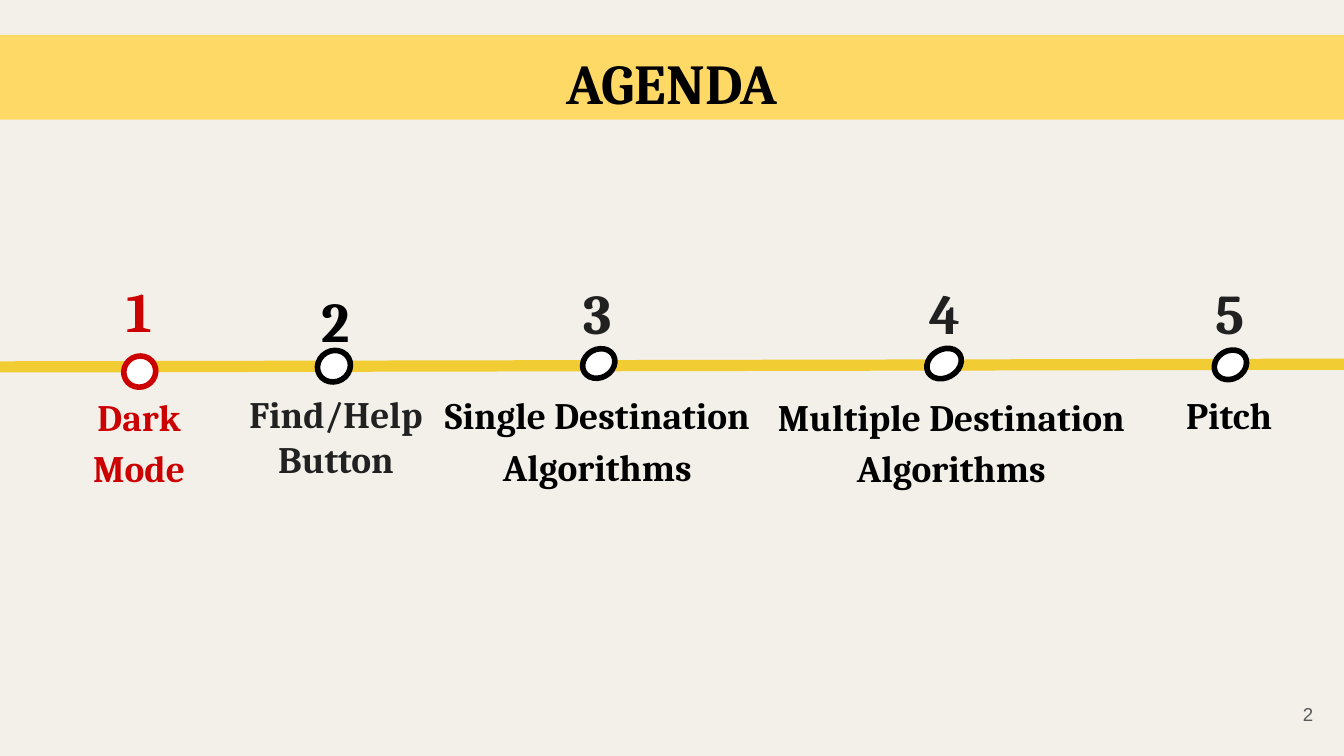
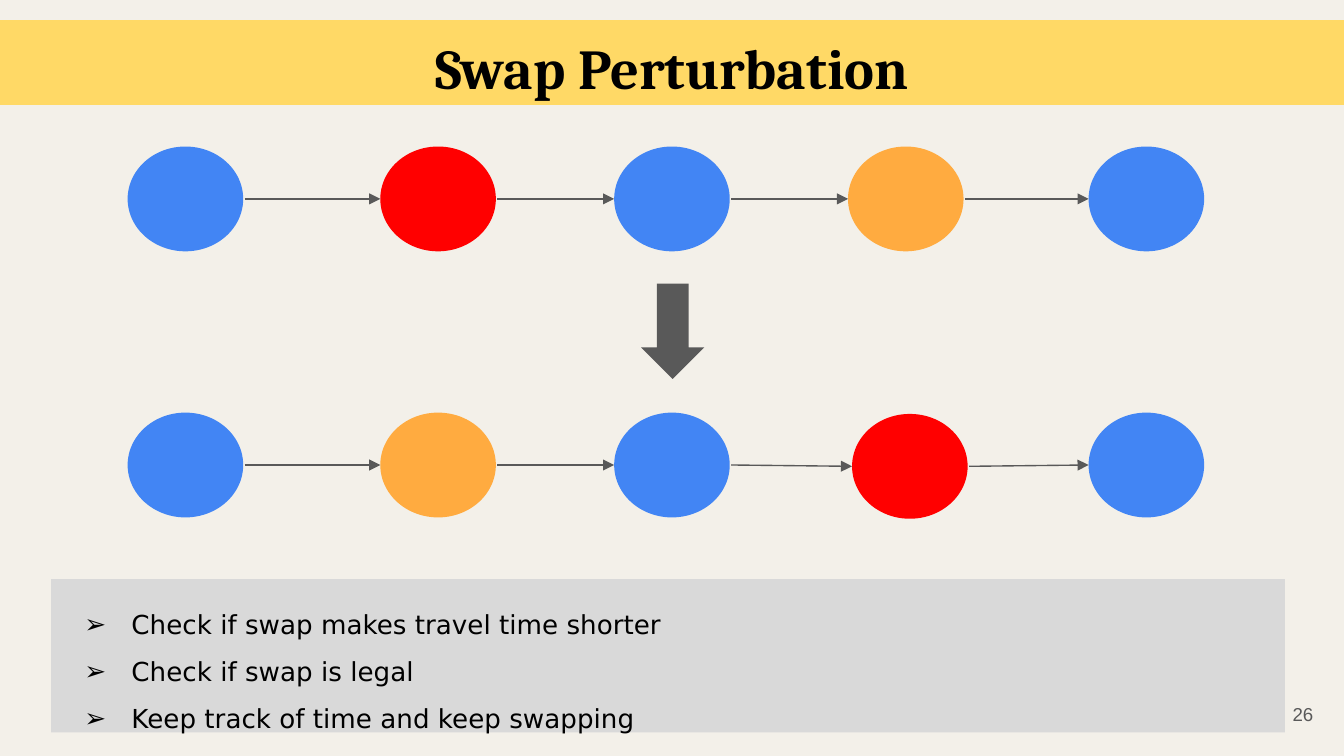
from lxml import etree
from pptx import Presentation
from pptx.dml.color import RGBColor
from pptx.enum.shapes import MSO_CONNECTOR, MSO_SHAPE
from pptx.enum.text import MSO_ANCHOR, MSO_AUTO_SIZE, PP_ALIGN
from pptx.oxml.ns import qn
from pptx.util import Inches, Pt

OVAL, RECTANGLE = MSO_SHAPE.OVAL, MSO_SHAPE.RECTANGLE
RIGHT_ARROW = MSO_SHAPE.RIGHT_ARROW
STRAIGHT = MSO_CONNECTOR.STRAIGHT
TOP, MIDDLE = MSO_ANCHOR.TOP, MSO_ANCHOR.MIDDLE
LEFT, CENTER, RIGHT = PP_ALIGN.LEFT, PP_ALIGN.CENTER, PP_ALIGN.RIGHT

PAPER = RGBColor(0xF3, 0xF0, 0xE9)
BAND = RGBColor(0xFF, 0xD9, 0x66)
TIMELINE = RGBColor(0xF1, 0xCC, 0x32)
BLACK = RGBColor(0x00, 0x00, 0x00)
INK = RGBColor(0x21, 0x21, 0x21)
CRIMSON = RGBColor(0xCC, 0x00, 0x00)
WHITE = RGBColor(0xFF, 0xFF, 0xFF)
GRAY = RGBColor(0x59, 0x59, 0x59)
PANEL = RGBColor(0xD9, 0xD9, 0xD9)
BLUE = RGBColor(0x42, 0x85, 0xF4)
RED = RGBColor(0xFF, 0x00, 0x00)
ORANGE = RGBColor(0xFF, 0xAB, 0x40)

SERIF, SANS, NUMBER_FONT = "Cambria", "DejaVu Sans", "Arial"
PAGE_WIDTH = 10
PAGE_HEIGHT = PAGE_WIDTH * 9 / 16

# Agenda: number, its box, colour and spacing; dot box, turn and outline;
# label lines, their box, colour and spacing
MILESTONES = [
    ("1", (0.78, 1.96, 0.52, 0.71), CRIMSON, 1.0,
     (0.92, 2.65, 0.24, 0.23), 332.1, CRIMSON,
     ["Dark", "Mode"], (-0.44, 2.78, 2.95, 0.86), CRIMSON, 1.15),
    ("2", (1.24, 1.96, 2.51, 0.65), BLACK, 1.15,
     (2.36, 2.61, 0.25, 0.23), 330.2, BLACK,
     ["Find/Help", "Button"], (1.26, 2.81, 2.48, 1.06), INK, 1.0),
    ("3", (3.91, 1.9, 1.08, 0.63), INK, 1.15,
     (4.33, 2.6, 0.25, 0.21), 330.2, BLACK,
     ["Single Destination Algorithms"], (3.19, 2.77, 2.51, 1.35), BLACK, 1.15),
    ("4", (6.44, 1.9, 1.18, 0.63), INK, 1.15,
     (6.89, 2.6, 0.27, 0.21), 330.2, BLACK,
     ["Multiple Destination", "Algorithms"], (5.65, 2.78, 2.86, 1.75), BLACK, 1.15),
    ("5", (8.61, 1.9, 1.08, 0.63), INK, 1.15,
     (9.03, 2.61, 0.25, 0.21), 330.2, BLACK,
     ["Pitch"], (7.89, 2.77, 2.51, 1.11), BLACK, 1.15),
]

# Swap: each route is a list of (left, top, colour)
ROUTES = [
    [(0.95, 1.09, BLUE), (2.83, 1.09, RED), (4.57, 1.09, BLUE),
     (6.31, 1.09, ORANGE), (8.1, 1.09, BLUE)],
    [(0.95, 3.07, BLUE), (2.83, 3.07, ORANGE), (4.57, 3.07, BLUE),
     (6.34, 3.08, RED), (8.1, 3.07, BLUE)],
]
STOP_WIDTH, STOP_HEIGHT = 0.86, 0.78
ARROW_GAP = 0.01
SWAP_STEPS = [
    "Check if swap makes travel time shorter",
    "Check if swap is legal",
    "Keep track of time and keep swapping",
]


def inches(values):
    return [Inches(value) for value in values]


def write(box, lines, font, size, color, bold=False, align=CENTER,
          anchor=TOP, spacing=1.0, bullet=None):
    frame = box.text_frame
    frame.word_wrap = True
    frame.auto_size = MSO_AUTO_SIZE.NONE
    frame.vertical_anchor = anchor
    frame.margin_left = frame.margin_right = Inches(0.1)
    frame.margin_top = frame.margin_bottom = Inches(0.1)
    frame.text = "\n".join(lines)
    for para in frame.paragraphs:
        if bullet:
            add_bullet(para, bullet, color)
        para.alignment = align
        para.line_spacing = spacing
        for span in para.runs:
            span.font.name = font
            span.font.size = Pt(size)
            span.font.bold = bold
            span.font.color.rgb = color


def add_bullet(para, mark, color):
    props = para._p.get_or_add_pPr()
    props.set("marL", str(Inches(0.5)))
    props.set("indent", str(Inches(-0.35)))
    fill = etree.SubElement(props, qn("a:buClr"))
    etree.SubElement(fill, qn("a:srgbClr"), val=str(color))
    etree.SubElement(props, qn("a:buFont"), typeface=SANS)
    etree.SubElement(props, qn("a:buChar"), char=mark)


def add_text(page, at, lines, *style, **options):
    box = page.shapes.add_textbox(*inches(at))
    write(box, lines, *style, **options)


def add_figure(page, preset, at, fill, outline=None, turn=0):
    figure = page.shapes.add_shape(preset, *inches(at))
    figure.shadow.inherit = False
    figure.rotation = turn
    figure.fill.solid()
    figure.fill.fore_color.rgb = fill
    if outline is None:
        figure.line.fill.background()
    else:
        figure.line.color.rgb = outline
        figure.line.width = Pt(3)
    return figure


def add_line(page, start, end, color, width, arrow=False):
    line = page.shapes.add_connector(STRAIGHT, *inches(start + end))
    line.line.color.rgb = color
    line.line.width = Pt(width)
    if arrow:
        outline = line._element.spPr.find(qn("a:ln"))
        etree.SubElement(outline, qn("a:tailEnd"), type="triangle")
    etree.SubElement(line._element.spPr, qn("a:effectLst"))


def add_page(deck, title, band_top, number):
    page = deck.slides.add_slide(deck.slide_layouts[5])
    page.background.fill.solid()
    page.background.fill.fore_color.rgb = PAPER
    # Title band
    band = page.shapes.title
    band.left, band.top, band.width, band.height = inches(
        (0, band_top, PAGE_WIDTH, 0.63))
    band.fill.solid()
    band.fill.fore_color.rgb = BAND
    write(band, [title], SERIF, 30.2, BLACK, bold=True)
    # Page number
    add_text(page, (9.27, 5.1, 0.6, 0.43), [number], NUMBER_FONT, 10, GRAY,
             align=RIGHT, anchor=MIDDLE)
    return page


def build_agenda(deck):
    page = add_page(deck, "AGENDA", 0.26, "2")
    add_line(page, (0, 2.73), (PAGE_WIDTH, 2.71), TIMELINE, 6)
    for (number, number_at, number_color, number_spacing, dot_at, turn, outline,
         label, label_at, label_color, label_spacing) in MILESTONES:
        add_figure(page, OVAL, dot_at, WHITE, outline, turn)
        add_text(page, number_at, [number], SERIF, 30, number_color,
                 bold=True, spacing=number_spacing)
        add_text(page, label_at, label, SERIF, 20, label_color,
                 bold=True, spacing=label_spacing)


def build_swap(deck):
    page = add_page(deck, "Swap Perturbation", 0.15, "26")
    # Routes before and after the swap
    for route in ROUTES:
        for left, top, color in route:
            add_figure(page, OVAL, (left, top, STOP_WIDTH, STOP_HEIGHT), color)
        for (left, top, _), (next_left, next_top, _) in zip(route, route[1:]):
            start = (left + STOP_WIDTH + ARROW_GAP, top + STOP_HEIGHT / 2)
            end = (next_left, next_top + STOP_HEIGHT / 2)
            add_line(page, start, end, GRAY, 0.75, arrow=True)
    add_figure(page, RIGHT_ARROW, (4.65, 2.23, 0.71, 0.47), GRAY, turn=90)
    # Steps panel
    panel = add_figure(page, RECTANGLE, (0.38, 4.31, 9.18, 1.14), PANEL)
    write(panel, SWAP_STEPS, SANS, 14, BLACK, align=LEFT, spacing=1.5, bullet="➢")


def main():
    deck = Presentation()
    deck.slide_width, deck.slide_height = inches((PAGE_WIDTH, PAGE_HEIGHT))
    build_agenda(deck)
    build_swap(deck)
    deck.save("out.pptx")


if __name__ == "__main__":
    main()
